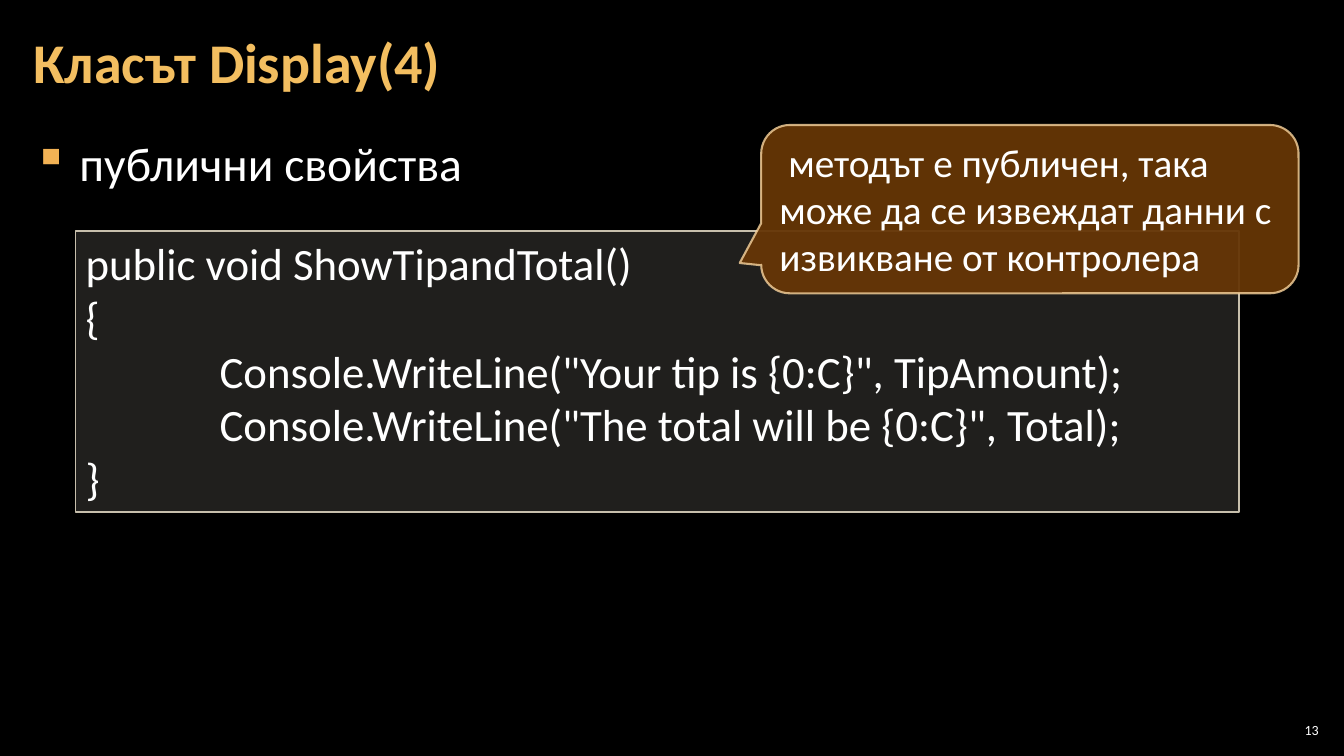
from lxml.etree import SubElement
from pptx import Presentation
from pptx.dml.color import RGBColor
from pptx.enum.shapes import MSO_SHAPE
from pptx.enum.text import MSO_ANCHOR, PP_ALIGN
from pptx.oxml.ns import qn
from pptx.util import Inches, Pt

# Content
TITLE = "Класът Display(4)"
BULLET = " публични свойства"
CODE = [
    "public void ShowTipandTotal()",
    "{",
    "\tConsole.WriteLine(\"Your tip is {0:C}\", TipAmount);",
    "\tConsole.WriteLine(\"The total will be {0:C}\", Total);",
    "}",
]
CALLOUT = " методът е публичен, така може да се извеждат данни с извикване от контролера"
PAGE = "13"

# Style
FONT = "Calibri"
WHITE, GOLD, BULLET_GOLD = "FFFFFF", "F3BE60", "F2B254"
PLACEHOLDER_INSETS = (0.12, 0.04)
SHAPE_INSETS = (0.1, 0.05)
CODE_TAB = 1.33


def rgb(hex_color):
    return RGBColor.from_string(hex_color)


def set_alpha(fill, percent):
    color = fill._xPr.find(qn("a:solidFill"))[0]
    SubElement(color, qn("a:alpha"), val=str(percent * 1000))


def write(shape, lines, size, color=WHITE, bold=False, insets=SHAPE_INSETS,
          anchor=MSO_ANCHOR.TOP, align=PP_ALIGN.LEFT, spacing=1.0):
    frame = shape.text_frame
    frame.text = "\n".join(lines)
    frame.word_wrap = True
    frame.vertical_anchor = anchor
    frame.margin_left = frame.margin_right = Inches(insets[0])
    frame.margin_top = frame.margin_bottom = Inches(insets[1])
    for paragraph in frame.paragraphs:
        paragraph.alignment = align
        paragraph.line_spacing = spacing
        for run in paragraph.runs:
            run.font.name = FONT
            run.font.size = Pt(size)
            run.font.bold = bold
            run.font.color.rgb = rgb(color)
    return frame.paragraphs


def add_text(box, lines, size, **style):
    return write(slide.shapes.add_textbox(*map(Inches, box)), lines, size, **style)


def add_panel(preset, box, fill, fill_alpha, line, width):
    panel = slide.shapes.add_shape(preset, *map(Inches, box))
    panel.shadow.inherit = False
    panel.fill.solid()
    panel.fill.fore_color.rgb = rgb(fill)
    set_alpha(panel.fill, fill_alpha)
    panel.line.color.rgb = rgb(line)
    panel.line.width = Pt(width)
    return panel


# Slide
prs = Presentation()
prs.slide_width, prs.slide_height = Inches(13.33), Inches(7.5)
slide = prs.slides.add_slide(prs.slide_layouts[6])
slide.background.fill.solid()
slide.background.fill.fore_color.rgb = rgb("000000")

# Page number
add_text((12.65, 7.14, 0.47, 0.21), [PAGE], 10, insets=(0.04, 0.04),
         anchor=MSO_ANCHOR.MIDDLE, align=PP_ALIGN.RIGHT)

# Bulleted statement
statement = add_text((0.21, 1.26, 12.91, 4.82), [BULLET], 34,
                     insets=PLACEHOLDER_INSETS, spacing=1.05)[0]
statement.space_after = Pt(6)
bullet_props = statement._p.get_or_add_pPr()
bullet_props.set("marL", str(Inches(0.33)))
bullet_props.set("indent", str(-Inches(0.33)))
bullet_color = SubElement(bullet_props, qn("a:buClr"))
SubElement(bullet_color, qn("a:srgbClr"), val=BULLET_GOLD)
SubElement(bullet_props, qn("a:buChar"), char="▪")

# Title
add_text((0.21, 0.04, 10.47, 1.21), [TITLE], 40, color=GOLD, bold=True,
         insets=PLACEHOLDER_INSETS, anchor=MSO_ANCHOR.MIDDLE, spacing=0.9)

# Code panel
code_panel = add_panel(MSO_SHAPE.RECTANGLE, (0.75, 2.29, 11.54, 2.79),
                       "D9D5C7", 15, "C7BFAC", 1)
for code_line in write(code_panel, CODE, 32):
    if code_line.text.startswith("\t"):
        tabs = SubElement(code_line._p.get_or_add_pPr(), qn("a:tabLst"))
        SubElement(tabs, qn("a:tab"), pos=str(Inches(CODE_TAB)), algn="l")

# Callout
callout = add_panel(MSO_SHAPE.ROUNDED_RECTANGULAR_CALLOUT, (7.55, 1.24, 5.33, 1.67),
                    "663606", 95, "F8D49E", 1.5)
set_alpha(callout.line.fill, 80)
for index, value in enumerate((-0.543, 0.324, 0.167)):
    callout.adjustments[index] = round(value, 2)
write(callout, [CALLOUT], 28, anchor=MSO_ANCHOR.MIDDLE)

prs.save("out.pptx")
